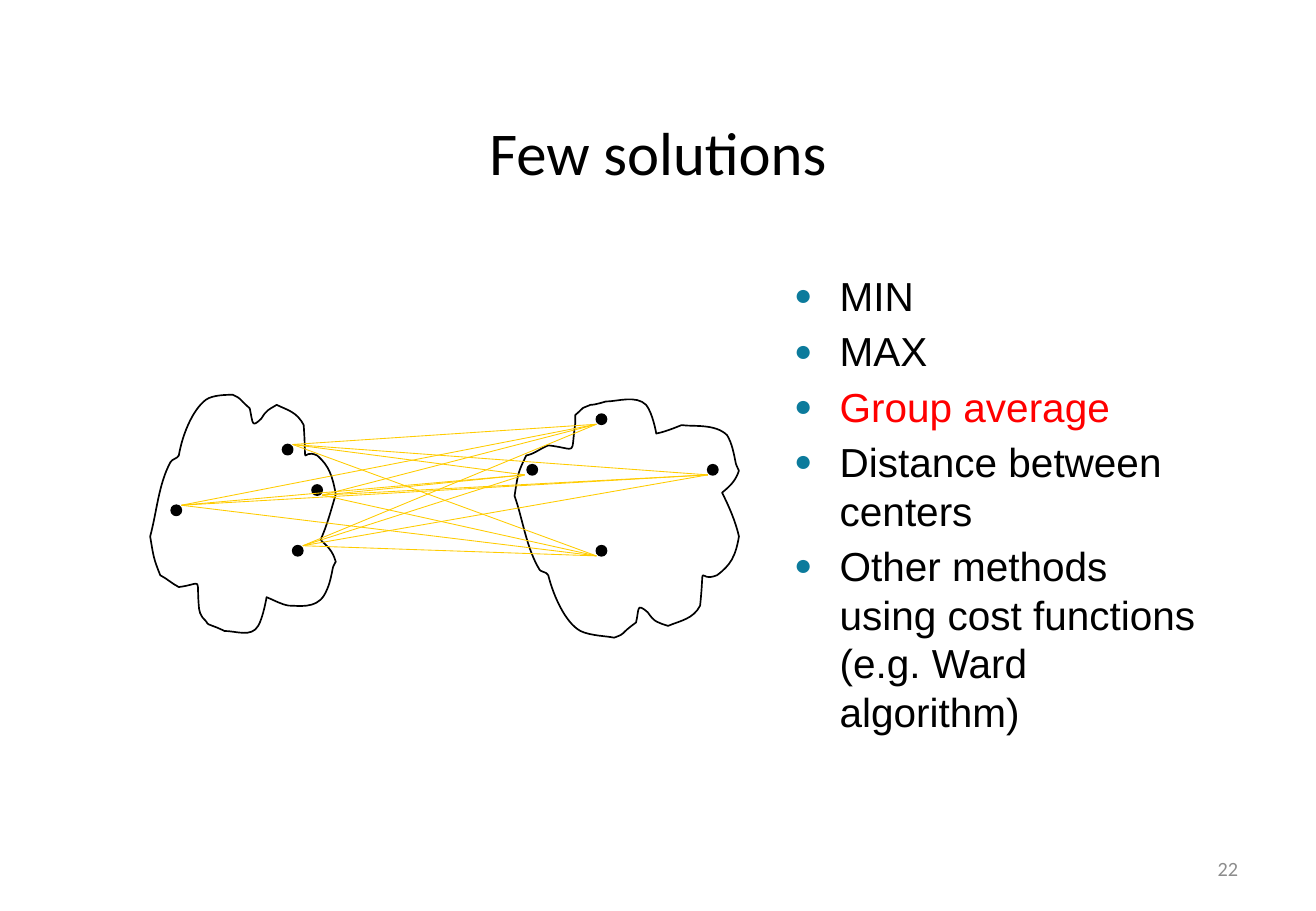
from lxml import etree
from pptx import Presentation
from pptx.dml.color import RGBColor
from pptx.enum import shapes, text
from pptx.oxml import ns
from pptx.util import Pt

theme = {
    "ink": RGBColor.from_string("000000"),
    "mark": RGBColor.from_string("FF0000"),
    "link": RGBColor.from_string("FFCC00"),
    "page": RGBColor.from_string("8C8C8C"),
    "bullet": "0C7B9C",
    "head": ("Calibri", 36),
    "list": ("Arial", 24),
    "foot": ("Calibri", 12),
}


def place(shape, left, top, width, height):
    shape.left, shape.top = Pt(left), Pt(top)
    shape.width, shape.height = Pt(width), Pt(height)
    frame = shape.text_frame
    frame.word_wrap = True
    frame.auto_size = text.MSO_AUTO_SIZE.NONE
    return frame


def style(para, face, color):
    for run in para.runs:
        run.font.name, run.font.size = face[0], Pt(face[1])
        run.font.color.rgb = color


deck = Presentation()
deck.slide_width, deck.slide_height = Pt(780), Pt(540)
slide = deck.slides.add_slide(deck.slide_layouts[1])
title, body = slide.placeholders

frame = place(title, 39, 52, 702, 75.5)
frame.text = "Few solutions"
frame.vertical_anchor = text.MSO_ANCHOR.MIDDLE
frame.paragraphs[0].alignment = text.PP_ALIGN.CENTER
style(frame.paragraphs[0], theme["head"], theme["ink"])

frame = place(slide.shapes.add_textbox(0, 0, 0, 0), 559, 500.5, 182, 29)
frame.text = "22"
frame.vertical_anchor = text.MSO_ANCHOR.MIDDLE
frame.paragraphs[0].alignment = text.PP_ALIGN.RIGHT
style(frame.paragraphs[0], theme["foot"], theme["page"])

left_blob = [(101, 274), [
    (94, 287, 93, 303, 89, 318), (91, 330, 91, 331, 95, 341),
    (99, 343, 102, 346, 106, 348), (121, 346, 116, 341, 118, 361),
    (118, 363, 119, 364, 120, 366), (125, 371, 121, 369, 126, 371),
    (129, 372, 133, 374, 133, 374), (140, 374, 149, 378, 153, 371),
    (156, 366, 158, 354, 158, 354), (163, 356, 166, 358, 171, 359),
    (177, 359, 187, 361, 192, 353), (195, 348, 196, 343, 197, 338),
    (197, 336, 199, 333, 199, 333), (197, 326, 194, 324, 190, 320),
    (194, 311, 196, 303, 199, 293), (197, 282, 195, 276, 188, 270),
    (178, 265, 182, 281, 180, 252), (176, 244, 170, 243, 164, 240),
    (159, 243, 158, 243, 155, 248), (149, 254, 150, 251, 148, 242),
    (140, 235, 144, 237, 138, 234), (135, 234, 126, 234, 122, 237),
    (114, 243, 108, 258, 106, 270), (105, 272, 102, 272, 101, 274),
]]
right_blob = [(320, 338), [
    (312, 325, 310, 308, 305, 294), (307, 281, 307, 280, 312, 270),
    (317, 269, 320, 266, 325, 264), (343, 266, 338, 271, 341, 251),
    (341, 249, 341, 247, 341, 246), (348, 240, 343, 243, 350, 240),
    (353, 240, 359, 238, 359, 238), (366, 238, 377, 234, 383, 240),
    (387, 245, 389, 257, 389, 257), (394, 256, 399, 254, 404, 252),
    (411, 253, 424, 251, 431, 258), (434, 263, 435, 269, 436, 274),
    (436, 275, 438, 279, 438, 279), (436, 285, 433, 288, 428, 292),
    (432, 300, 436, 309, 438, 318), (436, 330, 433, 335, 425, 341),
    (413, 346, 418, 330, 415, 359), (411, 367, 403, 368, 396, 371),
    (390, 369, 388, 369, 384, 363), (377, 357, 379, 361, 377, 369),
    (366, 377, 372, 375, 364, 378), (360, 377, 350, 377, 344, 374),
    (335, 369, 328, 353, 325, 341), (324, 339, 321, 339, 320, 338),
]]

for (x, y), curves in (left_blob, right_blob):
    pen = slide.shapes.build_freeform(Pt(x), Pt(y), scale=1.0)
    pen.add_line_segments([(Pt(c[4]), Pt(c[5])) for c in curves], close=True)
    blob = pen.convert_to_shape()
    for line, curve in zip(list(blob._element.iter(ns.qn("a:lnTo"))), curves):
        bend = etree.Element(ns.qn("a:cubicBezTo"))
        for px, py in zip(curve[::2], curve[1::2]):
            etree.SubElement(bend, ns.qn("a:pt"),
                             x=str(Pt(px) - blob.left), y=str(Pt(py) - blob.top))
        line.getparent().replace(line, bend)
    blob.shadow.inherit = False
    blob.fill.background()
    blob.line.color.rgb = theme["ink"]
    blob.line.width = Pt(1)

size = 6
left_dots = [(173.5, 323.5, 0), (185, 287.5, size), (101.5, 299.5, 0), (167.5, 263.5, 0)]
right_dots = [(353.5, 323.5, 0), (312.5, 275.5, -1.5), (353.5, 245.5, 0), (419.5, 275.5, 0)]

for x, y, shift in left_dots + right_dots:
    dot = slide.shapes.add_shape(shapes.MSO_SHAPE.OVAL, Pt(x), Pt(y), Pt(size), Pt(size))
    dot.shadow.inherit = False
    dot.fill.solid()
    dot.fill.fore_color.rgb = theme["ink"]
    dot.line.color.rgb = theme["ink"]
    dot.line.width = Pt(1)

for x, y, drop in left_dots:
    for end_x, end_y, shift in right_dots:
        link = slide.shapes.add_connector(
            shapes.MSO_CONNECTOR.STRAIGHT, Pt(x + size), Pt(y + drop),
            Pt(end_x + shift), Pt(end_y + size))
        link.line.color.rgb = theme["link"]
        link.line.width = Pt(0.5)
        etree.SubElement(link._element.spPr, ns.qn("a:effectLst"))

items = ["MIN", "MAX", "Group average", "Distance between centers",
         "Other methods using cost functions (e.g. Ward algorithm)"]
frame = place(body, 463.5, 157, 255, 302.5)
frame.text = "\n".join(items)
for rank, para in enumerate(frame.paragraphs):
    props = para._p.get_or_add_pPr()
    props.set("marL", str(Pt(27)))
    props.set("indent", str(Pt(-27)))
    color = etree.SubElement(props, ns.qn("a:buClr"))
    etree.SubElement(color, ns.qn("a:srgbClr"), val=theme["bullet"])
    etree.SubElement(props, ns.qn("a:buSzPct"), val="75000")
    etree.SubElement(props, ns.qn("a:buChar"), char="●")
    para.line_spacing = 1.0
    para.space_before = Pt(2 if rank else 0)
    para.space_after = Pt(2)
    style(para, theme["list"], theme["mark" if para.text == "Group average" else "ink"])

deck.save("out.pptx")
